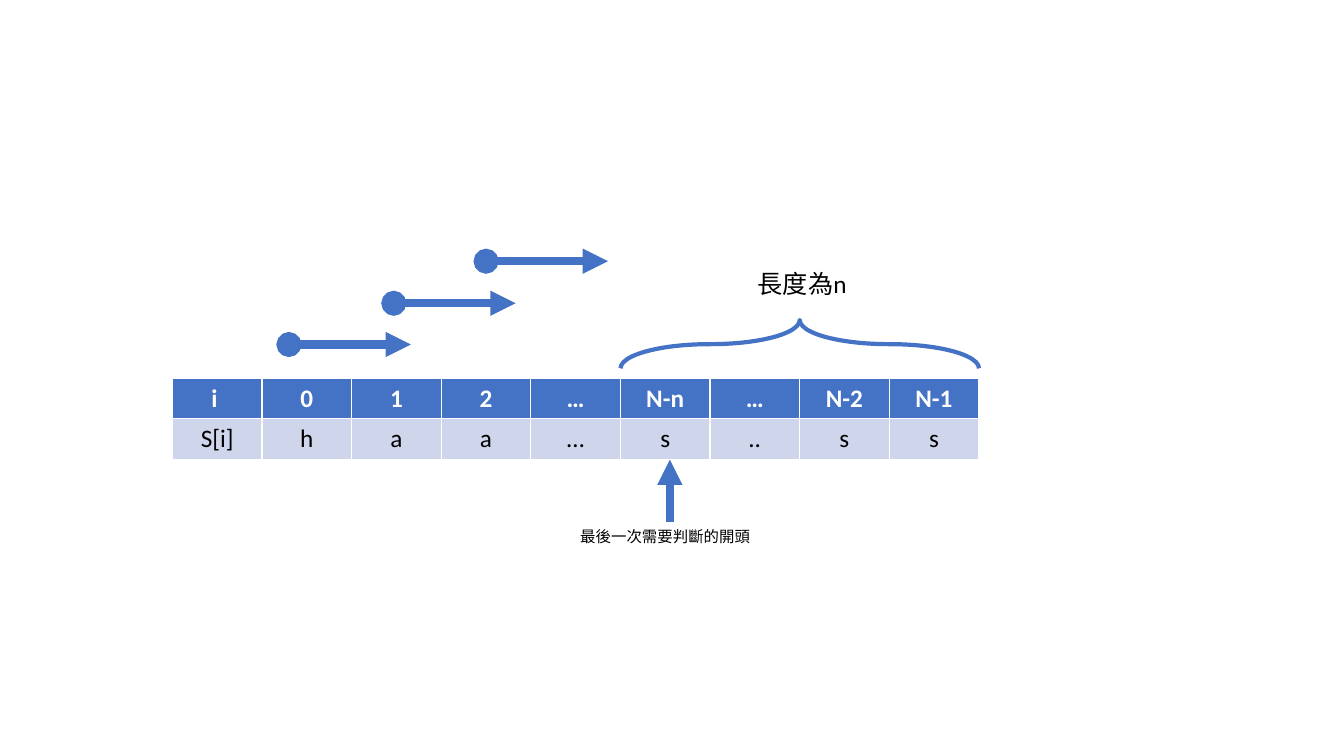
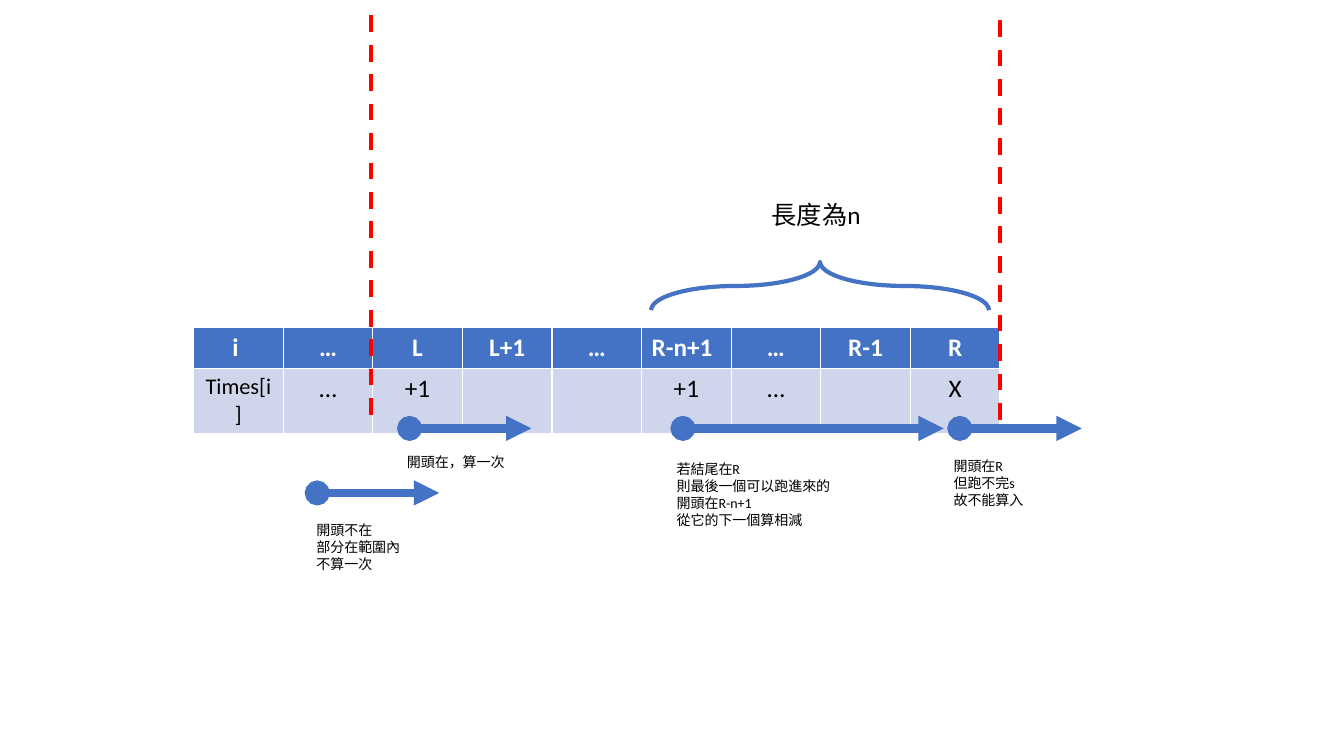
from pptx import Presentation
from pptx.dml.color import RGBColor
from pptx.enum.dml import MSO_LINE
from pptx.enum.shapes import MSO_CONNECTOR, MSO_SHAPE
from pptx.enum.text import MSO_AUTO_SIZE, PP_ALIGN
from pptx.oxml.ns import qn
from pptx.util import Inches, Pt
from lxml.etree import SubElement

theme = {
    "font": "Calibri",
    "blue": RGBColor(0x44, 0x72, 0xC4),
    "pale": RGBColor(0xCF, 0xD5, 0xEA),
    "white": RGBColor(0xFF, 0xFF, 0xFF),
    "black": RGBColor(0, 0, 0),
    "red": RGBColor(0xFF, 0, 0),
    "large": 18, "cell": 16, "note": 11, "small": 10,
    "thick": Pt(6), "thin": Pt(3),
}
COUNT = 9            # columns in each table
COL = 8 / COUNT      # grid column, inches
ROW = 0.405          # grid row, inches
DEPTH = 0.48         # depth of a brace, inches
REACH = 1.36         # usual arrow length, columns


def write(frame, text, size, color, bold=False, align=PP_ALIGN.LEFT):
    """Fill a text frame with one paragraph per line of text."""
    look = {"name": theme["font"], "size": Pt(size), "bold": bold}
    for i, part in enumerate(text.split("\n")):
        para = frame.paragraphs[0] if i == 0 else frame.add_paragraph()
        para.alignment = align
        run = para.add_run()
        run.text = part
        for key, value in look.items():
            setattr(run.font, key, value)
        run.font.color.rgb = color


def draw(slide, start, end, color, width, ends=None, dash=None):
    """Draw a line between two points in inches, with optional line ends."""
    points = [Inches(n) for n in (*start, *end)]
    link = slide.shapes.add_connector(MSO_CONNECTOR.STRAIGHT, *points)
    link.line.color.rgb = color
    link.line.width = width
    if dash:
        link.line.dash_style = dash
    props = link._element.spPr
    for tag, kind in (ends or {}).items():
        SubElement(props.find(qn("a:ln")), qn("a:" + tag), type=kind)
    SubElement(props, qn("a:effectLst"))


# Places are (column, row) steps from the top left corner of the table.
pages = [
    {
        "origin": (1.71, 3.75),
        "cells": [["i ", "0", "1", "2", "…", "N-n", "…", "N-2", "N-1"],
                  ["S[i]", "h", "a", "a", "…", "s", "..", "s", "s"]],
        "brace": (7, -0.83, 4),
        "texts": [(6.42, -2.81, 1.23, "large", "長度為n"),
                  (4.44, 3.53, 2.18, "note", "最後一次需要判斷的開頭")],
        "arrows": [(1.3, -0.82, REACH), (2.47, -1.83, REACH), (3.5, -2.86, REACH)],
        "pointers": [(5.55, 3.53, 2)],
        "bounds": [],
    },
    {
        "origin": (1.92, 3.25),
        "cells": [["i ", "…", "L", "L+1", "…", "R-n+1", "…", "R-1", "R"],
                  ["Times[i]", "…", "+1", "", "", "+1", "…", "", "X"]],
        "brace": (6.99, -1.02, 3.77),
        "texts": [(6.34, -3.26, 1.23, "large", "長度為n"),
                  (2.27, 2.96, 2.05, "small", "開頭在，算一次"),
                  (1.26, 4.64, 2.05, "small", "開頭不在\n部分在範圍內\n不算一次"),
                  (8.37, 3.06, 2.05, "small", "開頭在R\n但跑不完s\n故不能算入"),
                  (5.28, 3.14, 2.05, "small",
                   "若結尾在R\n則最後一個可以跑進來的\n開頭在R-n+1\n從它的下一個算相減")],
        "arrows": [(2.41, 2.47, REACH), (1.38, 4.05, REACH),
                   (8.55, 2.47, REACH), (5.46, 2.47, 2.91)],
        "pointers": [],
        "bounds": [(1.98, -7.65, 2.42), (9, -7.53, 2.54)],
    },
]
sizes = {"Times[i]": theme["cell"]}
aligns = {"R-n+1": PP_ALIGN.LEFT}

deck = Presentation()
deck.slide_width, deck.slide_height = Inches(13.33), Inches(7.5)

for page in pages:
    slide = deck.slides.add_slide(deck.slide_layouts[6])
    left, top = page["origin"]

    grid = slide.shapes.add_table(2, COUNT, Inches(left), Inches(top),
                                  Inches(COL * COUNT), Inches(ROW * 2)).table
    for r, line in enumerate(page["cells"]):
        head = r == 0
        for c, text in enumerate(line):
            cell = grid.cell(r, c)
            cell.fill.solid()
            cell.fill.fore_color.rgb = theme["blue" if head else "pale"]
            if text:
                write(cell.text_frame, text, sizes.get(text, theme["large"]),
                      theme["white" if head else "black"], head,
                      aligns.get(text, PP_ALIGN.CENTER))

    x, y, span = page["brace"]
    mid, level, span = left + x * COL, top + y * ROW, span * COL
    brace = slide.shapes.add_shape(
        MSO_SHAPE.RIGHT_BRACE, Inches(mid - DEPTH / 2), Inches(level - span / 2),
        Inches(DEPTH), Inches(span))
    brace.rotation = 270
    brace.adjustments[0] = 1.84
    brace.shadow.inherit = False
    brace.fill.background()
    brace.line.color.rgb = theme["blue"]
    brace.line.width = theme["thin"]

    for x, y, width, size, text in page["texts"]:
        high = 0.1 + theme[size] / 60 * len(text.split("\n"))
        box = slide.shapes.add_textbox(Inches(left + x * COL), Inches(top + y * ROW),
                                       Inches(width * COL), Inches(high))
        box.text_frame.word_wrap = True
        box.text_frame.auto_size = MSO_AUTO_SIZE.SHAPE_TO_FIT_TEXT
        write(box.text_frame, text, theme[size], theme["black"])

    for x, y, reach in page["arrows"]:
        level = top + y * ROW
        draw(slide, (left + x * COL, level), (left + (x + reach) * COL, level),
             theme["blue"], theme["thick"], {"headEnd": "oval", "tailEnd": "triangle"})

    for x, low, tip in page["pointers"]:
        draw(slide, (left + x * COL, top + low * ROW), (left + x * COL, top + tip * ROW),
             theme["blue"], theme["thick"], {"tailEnd": "triangle"})

    for x, high, low in page["bounds"]:
        draw(slide, (left + x * COL, top + high * ROW), (left + x * COL, top + low * ROW),
             theme["red"], theme["thin"], dash=MSO_LINE.DASH)

deck.save("out.pptx")
